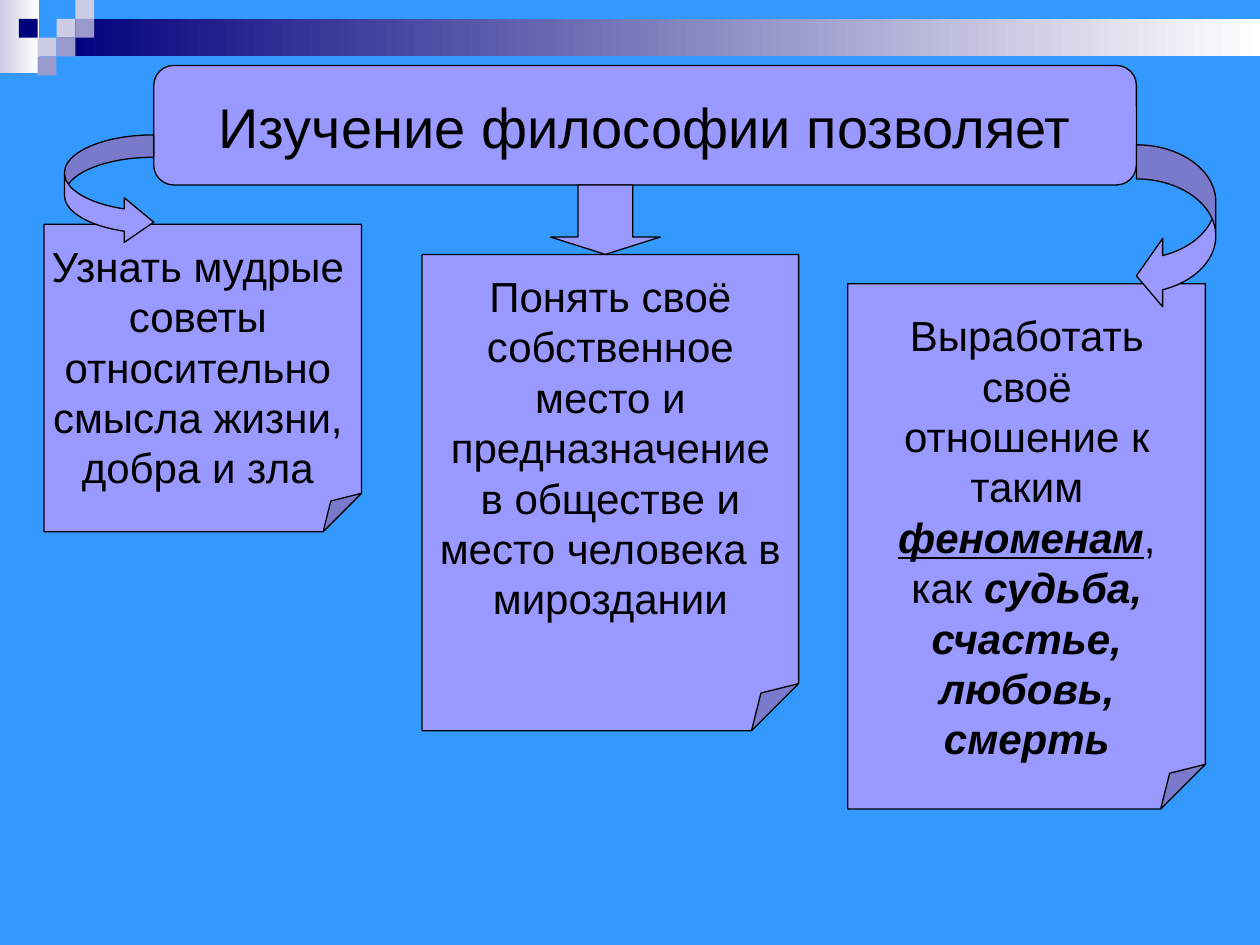
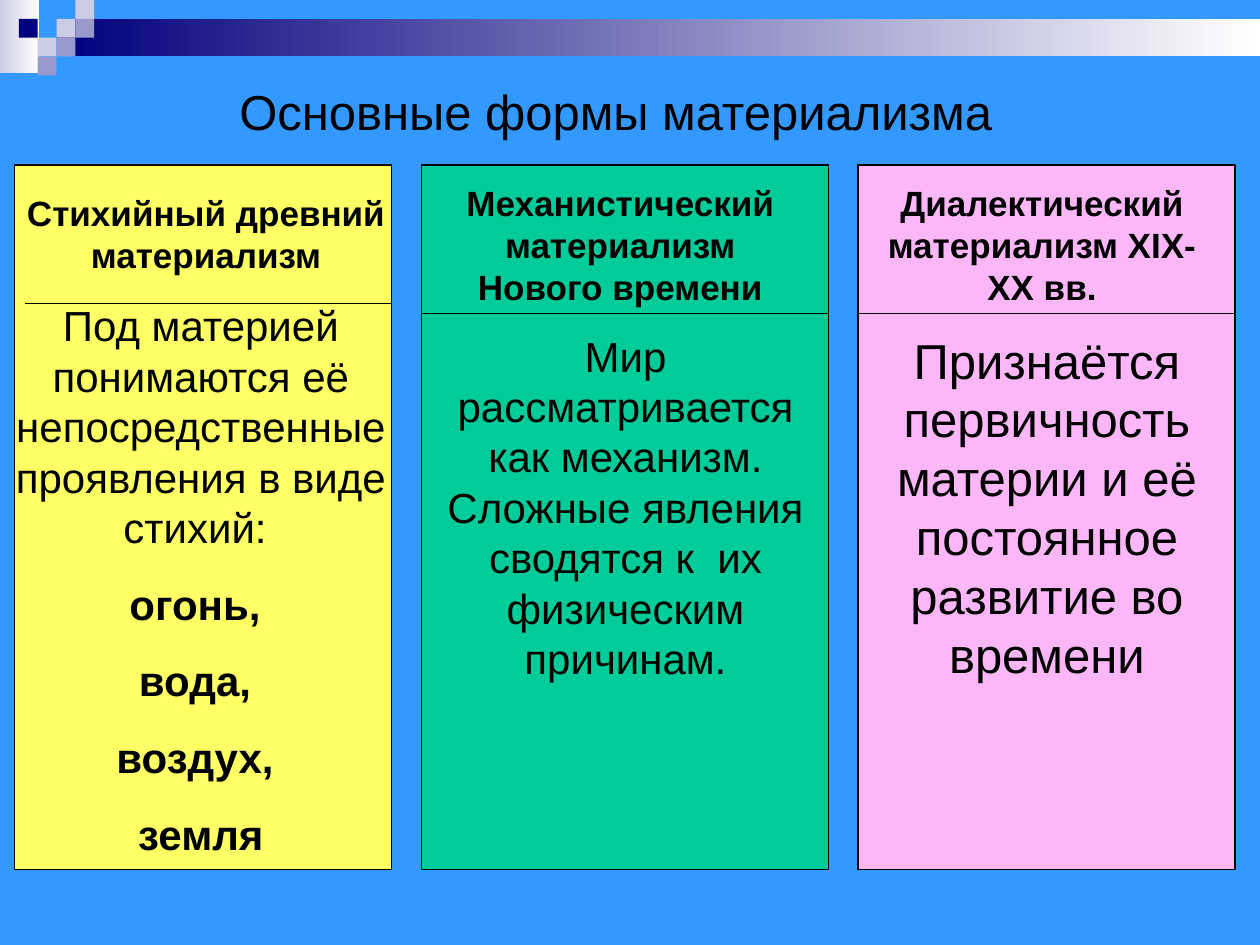
from lxml.etree import SubElement
from pptx import Presentation
from pptx.dml.color import RGBColor
from pptx.enum.shapes import MSO_CONNECTOR as Connector, MSO_SHAPE as Shape
from pptx.enum.text import MSO_ANCHOR as Anchor, MSO_AUTO_SIZE as AutoSize, PP_ALIGN as Align
from pptx.oxml.ns import qn
from pptx.util import Cm, Pt

# Shared look
FONT = "Arial"
SKY, NAVY, MIST, LILAC, VIOLET = "3399FF", "00007D", "CCCCE6", "9999CC", "9999FF"
WHITE, BLACK = "FFFFFF", "000000"
SQUARE = 0.38
BANDS = [  # box, gradient start
    ((0, 0, 0.78, 1.47), MIST),
    ((3 * SQUARE, SQUARE, 24.26, 2 * SQUARE), NAVY),
]
MOSAIC = [  # column, row, colour
    (3, 1, MIST), (4, 0, MIST), (4, 1, LILAC), (2, 2, MIST),
    (1, 1, NAVY), (3, 2, LILAC), (2, 3, LILAC),
]

# Slide 1: boxes are left, top, width, height in cm; runs are text, style letters
BENEFITS_TITLE = "Изучение философии позволяет"
BENEFITS_HEADER = (3.1, 1.32, 19.81, 2.41)
BENEFITS = [
    {"note": (0.89, 4.52, 6.4, 6.2), "text": (0.69, 4.72, 6.6, 5.33),
     "runs": [("Узнать мудрые советы относительно смысла жизни, добра и зла", "")]},
    {"note": (8.51, 5.13, 7.59, 9.6), "text": (8.51, 5.33, 7.59, 7.37),
     "runs": [("Понять своё собственное место и предназначение в обществе "
               "и место человека в мироздании", "")]},
    {"note": (17.09, 5.72, 7.21, 10.59), "text": (17.5, 6.12, 6.4, 9.4),
     "runs": [("Выработать своё отношение к таким ", ""), ("феноменам", "biu"),
              (", как ", ""), ("судьба, счастье, любовь, смерть", "bi")]},
]
ARROWS = [  # preset, box, adjustments
    (Shape.CURVED_RIGHT_ARROW, (1.3, 2.72, 1.8, 2.21), (0.25, 0.5, 0.33)),
    (Shape.DOWN_ARROW, (11.1, 3.73, 2.21, 1.4), (0.5, 0.25)),
    (Shape.CURVED_LEFT_ARROW, (22.91, 2.92, 1.6, 3.33), (0.43, 0.86, 0.33)),
]

# Slide 2
FORMS_TITLE = "Основные формы материализма"
COLUMN_LEFT, COLUMN_TOP, COLUMN_HEIGHT, COLUMN_GAP = 0.3, 3.33, 14.2, 0.6
FORMS = [
    {"width": 7.6, "fill": "FFFF66", "rule": (0.21, 6.12), "size": 24,
     "head": "Стихийный древний материализм", "head_box": (0, 3.73, 8.31, 1.96),
     "body_box": (0, 5.92, 8.1, 11.53),
     "body": [[("Под материей понимаются её непосредственные проявления "
                "в виде стихий: ", "")],
              [("огонь, ", "b")], [("вода, ", "b")], [("воздух, ", "b")], [("земля", "b")]]},
    {"width": 8.2, "fill": "00CC99", "rule": (0, 6.32), "size": 24,
     "head": "Механистический материализм Нового времени",
     "head_box": (8.71, 3.53, 7.59, 2.79), "body_box": (8.71, 6.53, 7.8, 7.37),
     "body": [[("Мир рассматривается как механизм. Сложные явления сводятся к  их "
                "физическим причинам.", "")]]},
    {"width": 7.6, "fill": "FBB7F8", "rule": (0, 6.32), "size": 28,
     "head": "Диалектический материализм XIX-XX вв.",
     "head_box": (17.5, 3.53, 7.01, 2.79), "body_box": (17.7, 6.53, 6.81, 7.37),
     "body": [[("Признаётся первичность материи и её постоянное развитие "
                "во времени", "")]]},
]


def rgb(colour):
    return RGBColor.from_string(colour)


def cm(box):
    return [Cm(length) for length in box]


def adjust(figure, adjustments):
    """Write the guides directly, as some presets list none by default."""
    geometry = figure._element.spPr.find(qn("a:prstGeom"))
    for guides in geometry.findall(qn("a:avLst")):
        geometry.remove(guides)
    guides = SubElement(geometry, qn("a:avLst"))
    for i, value in enumerate(adjustments, 1):
        name = f"adj{i}" if len(adjustments) > 1 else "adj"
        SubElement(guides, qn("a:gd"), name=name, fmla=f"val {round(value * 100000)}")


def add_figure(slide, preset, box, fill, outline=True, adjustments=()):
    figure = slide.shapes.add_shape(preset, *cm(box))
    figure.shadow.inherit = False
    figure.fill.solid()
    figure.fill.fore_color.rgb = rgb(fill)
    if outline:
        figure.line.color.rgb = rgb(BLACK)
        figure.line.width = Pt(0.75)
    else:
        figure.line.fill.background()
    if adjustments:
        adjust(figure, adjustments)
    return figure


def add_rule(slide, left, right, y):
    rule = slide.shapes.add_connector(Connector.STRAIGHT, *cm((left, y, right, y)))
    rule.line.color.rgb = rgb(BLACK)
    rule.line.width = Pt(0.75)
    SubElement(rule._element.spPr, qn("a:effectLst"))


def write(frame, paragraphs, size):
    """Fill a frame with centred paragraphs made of (text, style) runs."""
    frame.word_wrap = True
    frame.auto_size = AutoSize.NONE
    frame.vertical_anchor = Anchor.TOP
    for i, runs in enumerate(paragraphs):
        paragraph = frame.add_paragraph() if i else frame.paragraphs[0]
        paragraph.alignment = Align.CENTER
        paragraph.space_before = Pt(size * 0.625 if i else 0)
        for text, style in runs:
            run = paragraph.add_run()
            run.text = text
            font = run.font
            font.name, font.size, font.color.rgb = FONT, Pt(size), rgb(BLACK)
            font.bold, font.italic, font.underline = (mark in style for mark in "biu")


def add_text(slide, box, paragraphs, size):
    write(slide.shapes.add_textbox(*cm(box)).text_frame, paragraphs, size)


def set_title(slide, text, box, size):
    title = slide.shapes.title
    title.left, title.top, title.width, title.height = cm(box)
    write(title.text_frame, [[(text, "")]], size)
    slide.shapes._spTree.append(title._element)  # in front of its panel


def decorate_master(prs, slide):
    """Draw the bands and mosaic, then hand them to the master."""
    prs.slide_master.background.fill.solid()
    prs.slide_master.background.fill.fore_color.rgb = rgb(SKY)
    decor = []
    for box, start in BANDS:
        band = add_figure(slide, Shape.RECTANGLE, box, start, outline=False)
        band.fill.gradient()
        band.fill.gradient_angle = 0
        for stop, colour in zip(band.fill.gradient_stops, (start, WHITE)):
            stop.color.rgb = rgb(colour)
        decor.append(band)
    for column, row, colour in MOSAIC:
        box = (column * SQUARE, row * SQUARE, SQUARE, SQUARE)
        decor.append(add_figure(slide, Shape.RECTANGLE, box, colour, outline=False))
    for i, part in enumerate(decor):
        part._element.nvSpPr.cNvPr.set("id", str(100 + i))
        prs.slide_master.shapes._spTree.insert(2 + i, part._element)


def build_benefits(slide):
    add_figure(slide, Shape.ROUNDED_RECTANGLE, BENEFITS_HEADER, VIOLET, adjustments=(0.167,))
    set_title(slide, BENEFITS_TITLE, (3.71, 1.73, 18.59, 1.63), 32)
    for benefit in BENEFITS:
        add_figure(slide, Shape.FOLDED_CORNER, benefit["note"], VIOLET, adjustments=(0.125,))
        add_text(slide, benefit["text"], [benefit["runs"]], 24)
    for preset, box, adjustments in ARROWS:
        add_figure(slide, preset, box, VIOLET, adjustments=adjustments)


def build_forms(slide):
    set_title(slide, FORMS_TITLE, (2.11, 1.52, 20.6, 1.45), 28)
    left = COLUMN_LEFT
    for form in FORMS:
        right = left + form["width"]
        indent, rule_y = form["rule"]
        add_figure(slide, Shape.RECTANGLE,
                   (left, COLUMN_TOP, form["width"], COLUMN_HEIGHT), form["fill"])
        add_text(slide, form["head_box"], [[(form["head"], "b")]], 20)
        add_rule(slide, left + indent, right, rule_y)
        add_text(slide, form["body_box"], form["body"], form["size"])
        left = right + COLUMN_GAP


def main():
    prs = Presentation()
    prs.slide_width, prs.slide_height = Cm(25.4), Cm(19.05)
    title_only = prs.slide_layouts[5]
    benefits, forms = (prs.slides.add_slide(title_only) for _ in range(2))
    decorate_master(prs, benefits)
    build_benefits(benefits)
    build_forms(forms)
    prs.save("out.pptx")


if __name__ == "__main__":
    main()
